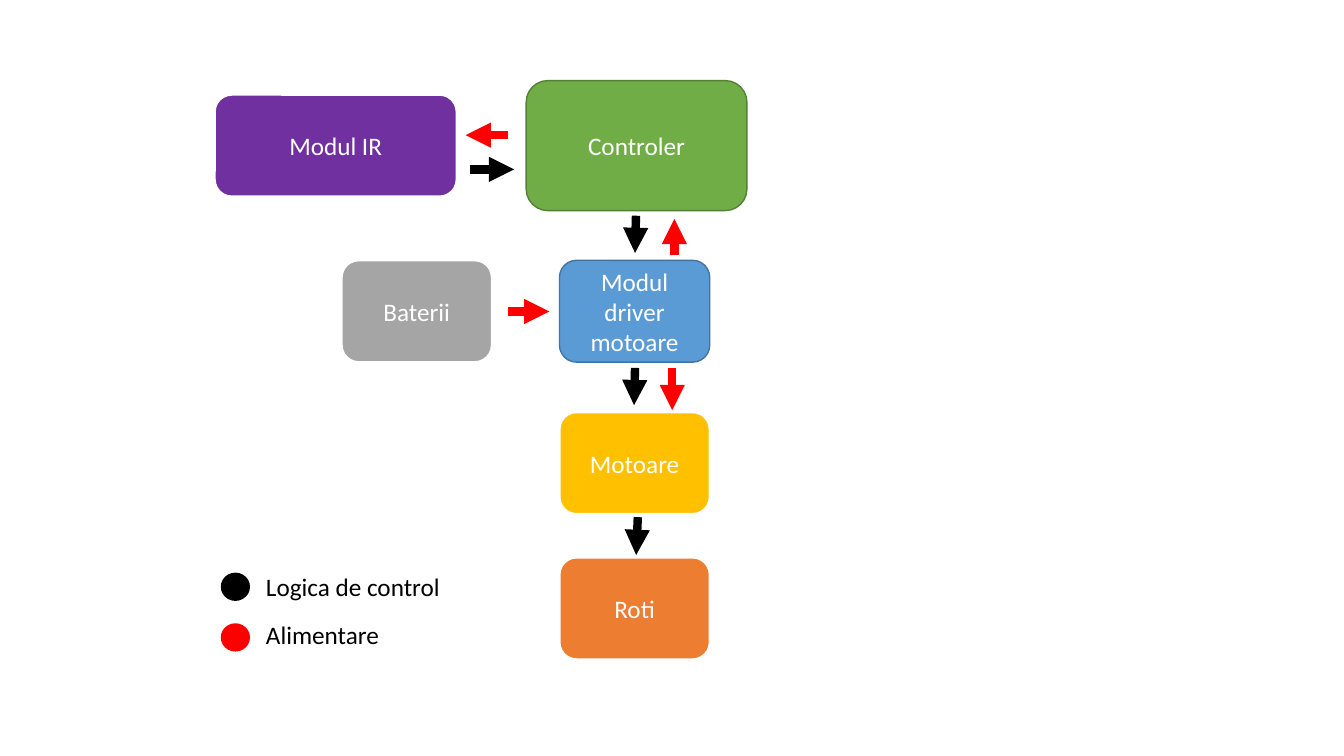
"""Block diagram of a robot: control logic and power supply between modules."""
from lxml import etree
from pptx import Presentation
from pptx.dml.color import RGBColor
from pptx.enum.shapes import MSO_CONNECTOR, MSO_SHAPE
from pptx.enum.text import MSO_ANCHOR, MSO_AUTO_SIZE, PP_ALIGN
from pptx.oxml.ns import qn
from pptx.util import Pt

WHITE = RGBColor(0xFF, 0xFF, 0xFF)
BLACK = RGBColor(0x00, 0x00, 0x00)
RED = RGBColor(0xFF, 0x00, 0x00)
GREEN = RGBColor(0x70, 0xAD, 0x47)
DARK_GREEN = RGBColor(0x53, 0x80, 0x35)
BLUE = RGBColor(0x5B, 0x9B, 0xD5)
DARK_BLUE = RGBColor(0x43, 0x73, 0x9E)
PURPLE = RGBColor(0x70, 0x30, 0xA0)
GRAY = RGBColor(0xA5, 0xA5, 0xA5)
GOLD = RGBColor(0xFF, 0xC0, 0x00)
ORANGE = RGBColor(0xED, 0x7D, 0x31)

MODULE_W, MODULE_H = 107.3, 72.7
MODULES = [
    ("Controler", 454.7, 104, 157.7, 92.9, GREEN, DARK_GREEN, 1),
    ("Modul IR", 239.8, 104, 172.8, MODULE_H, PURPLE, WHITE, 1.5),
    ("Baterii", 297.7, 222.3, MODULE_W, MODULE_H, GRAY, WHITE, 1.5),
    ("Modul driver motoare", 453.3, 222.3, MODULE_W, MODULE_H, BLUE, DARK_BLUE, 1),
    ("Motoare", 453.3, 330.8, MODULE_W, MODULE_H, GOLD, WHITE, 1.5),
    ("Roti", 453.3, 434.6, MODULE_W, MODULE_H, ORANGE, WHITE, 1.5),
]
FLOWS = {
    BLACK: [
        (335.5, 121, 367.2, 121),
        (454.3, 154.1, 453.6, 180.7),
        (453.6, 262.8, 452.9, 289.4),
        (455.6, 369.4, 454.4, 396.4),
    ],
    RED: [
        (362.9, 96.5, 332.6, 96.5),
        (362.9, 222.5, 392.4, 222.5),
        (481.7, 182.2, 481.7, 156.4),
        (480.2, 262.8, 480.2, 293),
    ],
}
LEGEND = [("Logica de control", BLACK, 409, 404.8),
          ("Alimentare", RED, 445.2, 438.5)]


def write(frame, text, color=BLACK, align=PP_ALIGN.LEFT, anchor=MSO_ANCHOR.TOP, size=18):
    """Fill a text frame with one formatted paragraph."""
    frame.word_wrap = True
    frame.vertical_anchor = anchor
    paragraph = frame.paragraphs[0]
    paragraph.alignment = align
    run = paragraph.add_run()
    run.text = text
    run.font.name = "Calibri"
    run.font.size = Pt(size)
    run.font.color.rgb = color


def add_filled(kind, left, top, width, height, fill):
    """Add a flat preset shape without an outline."""
    shape = slide.shapes.add_shape(kind, Pt(left), Pt(top), Pt(width), Pt(height))
    shape.shadow.inherit = False
    shape.fill.solid()
    shape.fill.fore_color.rgb = fill
    shape.line.fill.background()
    return shape


def add_flow(ends, color):
    """Add a thick arrow between two points."""
    flow = slide.shapes.add_connector(MSO_CONNECTOR.STRAIGHT, *map(Pt, ends))
    flow.line.color.rgb = color
    flow.line.width = Pt(6)
    properties = flow.element.spPr
    etree.SubElement(properties.find(qn("a:ln")), qn("a:tailEnd"), type="triangle")
    etree.SubElement(properties, qn("a:effectLst"))


prs = Presentation()
prs.slide_width, prs.slide_height = Pt(960), Pt(540)
slide = prs.slides.add_slide(prs.slide_layouts[6])

for name, center_x, center_y, width, height, fill, border, border_width in MODULES:
    module = add_filled(MSO_SHAPE.ROUNDED_RECTANGLE, center_x - width / 2,
                        center_y - height / 2, width, height, fill)
    module.line.color.rgb = border
    module.line.width = Pt(border_width)
    write(module.text_frame, name, color=WHITE, align=PP_ALIGN.CENTER,
          anchor=MSO_ANCHOR.MIDDLE)

for color, flows in FLOWS.items():
    for ends in flows:
        add_flow(ends, color)

for meaning, color, dot_top, label_top in LEGEND:
    add_filled(MSO_SHAPE.OVAL, 157.7, dot_top, 20.9, 20.2, color)
    label = slide.shapes.add_textbox(Pt(182.9), Pt(label_top), Pt(151.9), Pt(29))
    write(label.text_frame, meaning)
    label.text_frame.auto_size = MSO_AUTO_SIZE.SHAPE_TO_FIT_TEXT

prs.save("out.pptx")
